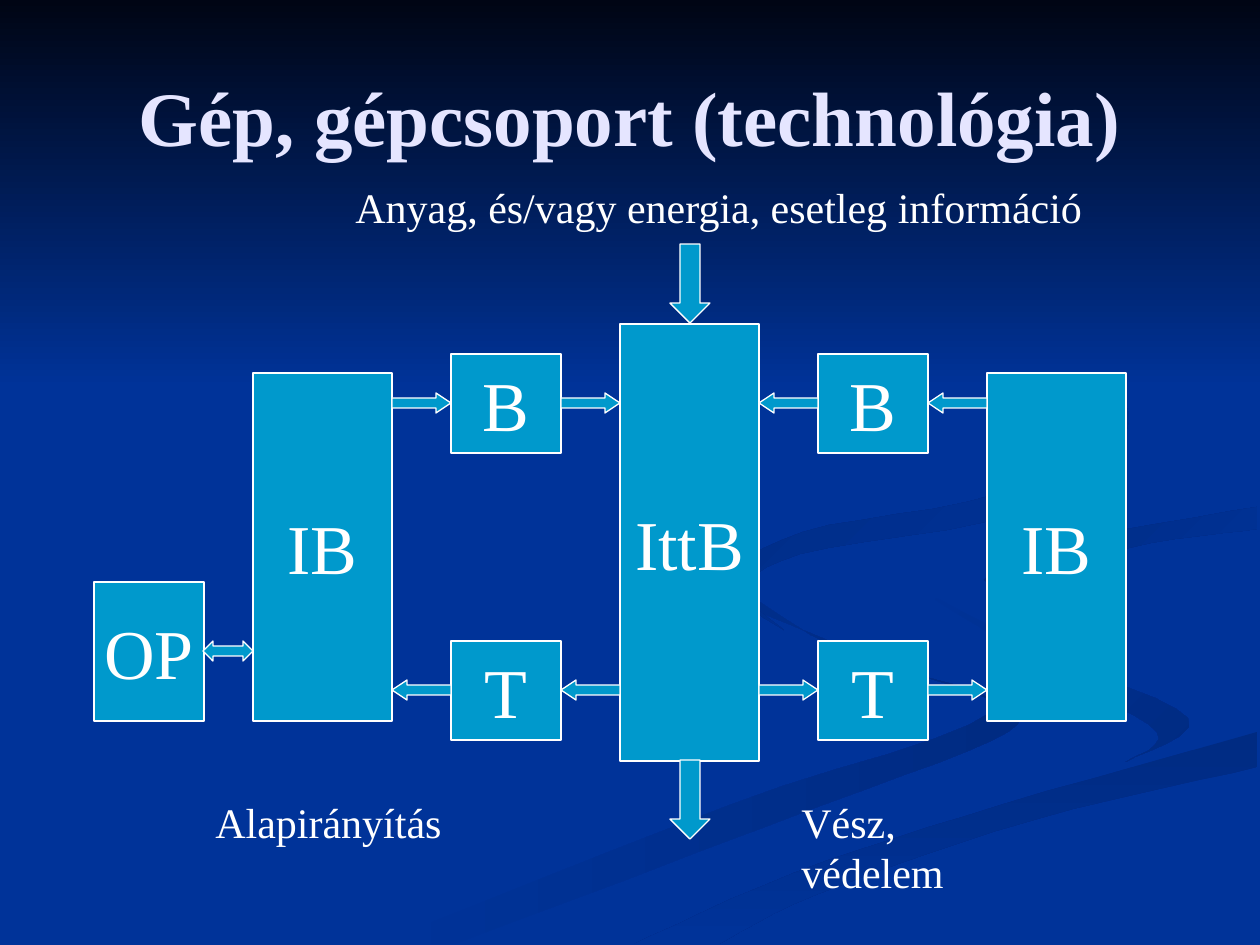
from dataclasses import dataclass

from pptx import Presentation
from pptx.dml.color import RGBColor
from pptx.enum.shapes import MSO_SHAPE
from pptx.enum.text import MSO_ANCHOR, PP_ALIGN
from pptx.util import Pt

EMU_PER_PX = 914400 / 126
SLIDE_WIDTH, SLIDE_HEIGHT = 1260, 945
FONT = "Times New Roman"
WHITE = RGBColor.from_string("FFFFFF")
LAVENDER = RGBColor.from_string("E5E5FF")
CYAN = RGBColor.from_string("0099CC")
BLUE = RGBColor.from_string("003399")
SHADE = RGBColor.from_string("002B82")
NIGHT = RGBColor.from_string("000514")

WIDE, NARROW, GAP = 139, 110, 59
ARROW_HEIGHT = 20
B_TOP, T_TOP, STAGE_HEIGHT = 354, 641, 99
ARROW_OFFSET = 39
CURVE_STEPS = 6

Point = tuple[float, float]


@dataclass(frozen=True)
class Box:
    left: int
    top: int
    width: int
    height: int


@dataclass(frozen=True)
class Ribbon:
    """A background swoosh between two smooth edges; angle runs clockwise."""
    start: RGBColor
    end: RGBColor
    angle: int
    outer: list[Point]
    inner: list[Point]


@dataclass(frozen=True)
class Caption:
    text: str
    box: Box
    size: int = 24
    color: RGBColor = WHITE
    bold: bool = False
    align: PP_ALIGN = PP_ALIGN.LEFT
    anchor: MSO_ANCHOR = MSO_ANCHOR.TOP


RIBBONS = [
    Ribbon(BLUE, SHADE, 0,
           [(725, 578), (833, 646), (984, 697), (1008, 732), (820, 806), (455, 944)],
           [(718, 595), (878, 662), (990, 713), (730, 805), (378, 944)]),
    Ribbon(BLUE, SHADE, 45,
           [(912, 585), (1046, 654), (1188, 718), (1126, 762)],
           [(912, 585), (1056, 675), (1157, 732), (1126, 762)]),
    Ribbon(SHADE, BLUE, 90,
           [(1257, 732), (1004, 804), (794, 873), (634, 944)],
           [(1257, 767), (1034, 820), (818, 894), (719, 944)]),
    Ribbon(SHADE, BLUE, 45,
           [(1257, 507), (1036, 547), (984, 580)],
           [(1257, 529), (1129, 548), (1014, 595), (1041, 625)]),
    Ribbon(SHADE, BLUE, 45,
           [(960, 294), (1089, 367), (1126, 433), (1017, 513), (800, 554), (747, 592), (784, 630)],
           [(960, 294), (1066, 352), (1120, 422), (997, 494), (803, 532), (727, 582), (784, 630)]),
]

CAPTIONS = [
    Caption("Gép, gépcsoport (technológia)", Box(63, 38, 1134, 156), 44, LAVENDER, True,
            PP_ALIGN.CENTER, MSO_ANCHOR.MIDDLE),
    Caption("Anyag, és/vagy energia, esetleg információ", Box(343, 175, 753, 113)),
    Caption("Alapirányítás", Box(203, 790, 437, 63)),
    Caption("Vész, védelem", Box(789, 790, 268, 113)),
]


def px(length: int) -> int:
    return round(length * EMU_PER_PX)


def place(box: Box) -> tuple[int, ...]:
    return px(box.left), px(box.top), px(box.width), px(box.height)


def smooth(knots: list[Point]) -> list[Point]:
    """Return a Catmull-Rom curve through the knots."""
    padded = [knots[0], *knots, knots[-1]]
    curve = [knots[0]]
    for quad in zip(padded, padded[1:], padded[2:], padded[3:]):
        for step in range(1, CURVE_STEPS + 1):
            t = step / CURVE_STEPS
            curve.append(tuple(
                b + t / 2 * (c - a + t * (2 * a - 5 * b + 4 * c - d + t * (3 * (b - c) + d - a)))
                for a, b, c, d in zip(*quad)))
    return curve


def fade(shape, start: RGBColor, end: RGBColor, angle: int) -> None:
    shape.shadow.inherit = False
    shape.line.fill.background()
    shape.fill.gradient()
    shape.fill.gradient_angle = -angle % 360
    for stop, color in zip(shape.fill.gradient_stops, (start, end)):
        stop.color.rgb = color


def draw_ribbon(slide, ribbon: Ribbon) -> None:
    outline = smooth(ribbon.outer) + smooth(ribbon.inner)[::-1]
    builder = slide.shapes.build_freeform(*outline[0], scale=EMU_PER_PX)
    builder.add_line_segments(outline[1:], close=True)
    fade(builder.convert_to_shape(), ribbon.start, ribbon.end, ribbon.angle)


def draw_backdrop(slide) -> None:
    slide.background.fill.solid()
    slide.background.fill.fore_color.rgb = BLUE
    for ribbon in RIBBONS:
        draw_ribbon(slide, ribbon)
    sky = Box(0, 0, SLIDE_WIDTH, 388)
    fade(slide.shapes.add_shape(MSO_SHAPE.RECTANGLE, *place(sky)), NIGHT, BLUE, 90)


def format_text(frame, text: str, size: int, color: RGBColor, align: PP_ALIGN,
                bold: bool = False) -> None:
    frame.text = text
    paragraph = frame.paragraphs[0]
    paragraph.alignment = align
    font = paragraph.runs[0].font
    font.name, font.size, font.bold = FONT, Pt(size), bold
    font.color.rgb = color


def draw_shape(slide, kind: MSO_SHAPE, box: Box):
    """Add a cyan preset shape with a thin white outline."""
    shape = slide.shapes.add_shape(kind, *place(box))
    shape.shadow.inherit = False
    shape.fill.solid()
    shape.fill.fore_color.rgb = CYAN
    shape.line.color.rgb = WHITE
    shape.line.width = Pt(0.75)
    return shape


def draw_block(slide, label: str, box: Box) -> None:
    frame = draw_shape(slide, MSO_SHAPE.RECTANGLE, box).text_frame
    frame.word_wrap = False
    frame.vertical_anchor = MSO_ANCHOR.MIDDLE
    format_text(frame, label, 40, WHITE, PP_ALIGN.CENTER)


def draw_arrow(slide, kind: MSO_SHAPE, box: Box, head: float) -> None:
    draw_shape(slide, kind, box).adjustments[1] = head


def draw_caption(slide, caption: Caption) -> None:
    frame = slide.shapes.add_textbox(*place(caption.box)).text_frame
    frame.word_wrap = True
    frame.vertical_anchor = caption.anchor
    format_text(frame, caption.text, caption.size, caption.color, caption.align, caption.bold)


def draw_control_loops(slide) -> None:
    """Draw the process in the middle, a control loop on each side and the operator."""
    widths = [WIDE, NARROW, WIDE, NARROW, WIDE]
    lefts = [253 + sum(widths[:i]) + i * GAP for i in range(len(widths))]
    left_ib, left_stage, process, right_stage, right_ib = lefts

    draw_block(slide, "IttB", Box(process, 324, WIDE, 437))
    for top in (244, 760):
        draw_arrow(slide, MSO_SHAPE.DOWN_ARROW, Box(process + 50, top, 40, 79), 0.5)
    for left in (left_stage, right_stage):
        draw_block(slide, "B", Box(left, B_TOP, NARROW, STAGE_HEIGHT))
        draw_block(slide, "T", Box(left, T_TOP, NARROW, STAGE_HEIGHT))
    for left in (left_ib, right_ib):
        draw_block(slide, "IB", Box(left, 373, WIDE, 348))

    inward = [MSO_SHAPE.RIGHT_ARROW] * 2 + [MSO_SHAPE.LEFT_ARROW] * 2
    for stage_top, kinds in ((B_TOP, inward), (T_TOP, inward[::-1])):
        for left, width, kind in zip(lefts, widths, kinds):
            gap = Box(left + width, stage_top + ARROW_OFFSET, GAP, ARROW_HEIGHT)
            draw_arrow(slide, kind, gap, 0.75)

    draw_block(slide, "OP", Box(94, 582, NARROW, 139))
    draw_arrow(slide, MSO_SHAPE.LEFT_RIGHT_ARROW, Box(203, 641, 50, ARROW_HEIGHT), 0.5)


def main() -> None:
    deck = Presentation()
    deck.slide_width, deck.slide_height = px(SLIDE_WIDTH), px(SLIDE_HEIGHT)
    slide = deck.slides.add_slide(deck.slide_layouts[6])
    draw_backdrop(slide)
    draw_control_loops(slide)
    for caption in CAPTIONS:
        draw_caption(slide, caption)
    deck.save("out.pptx")


if __name__ == "__main__":
    main()
